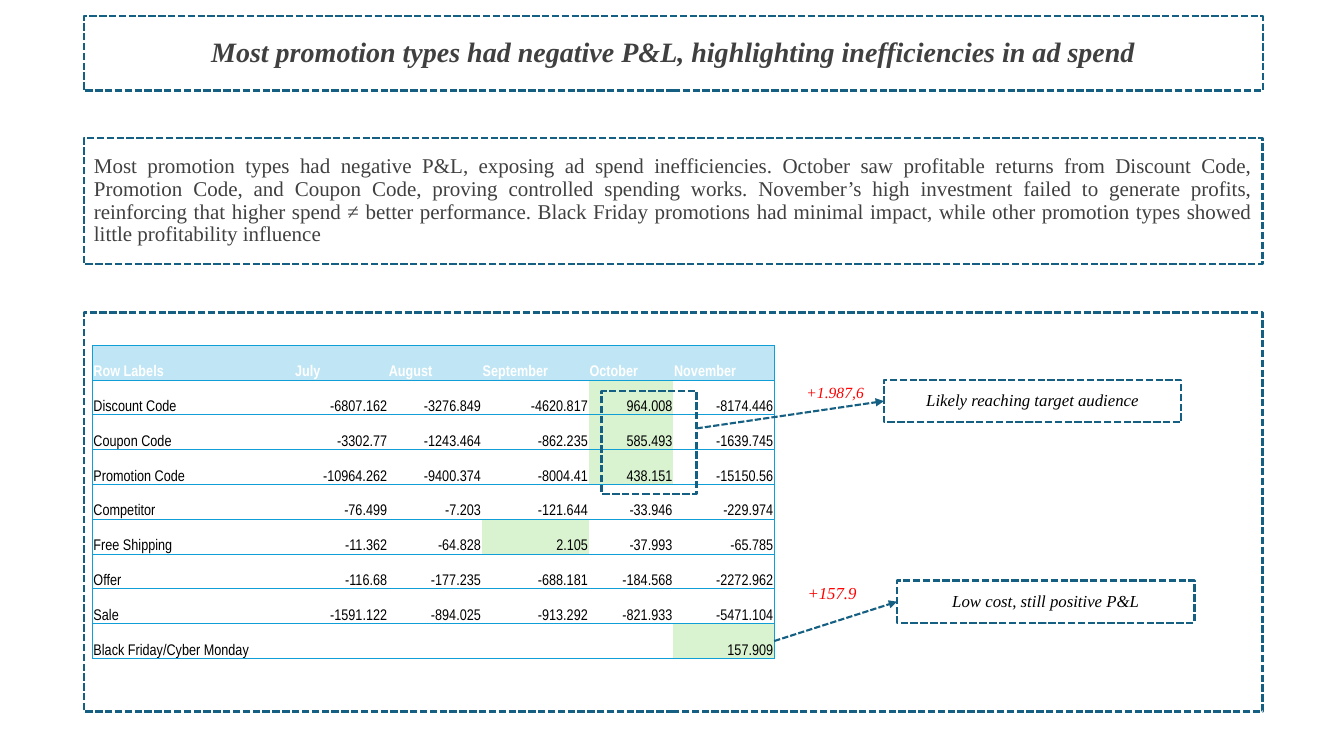
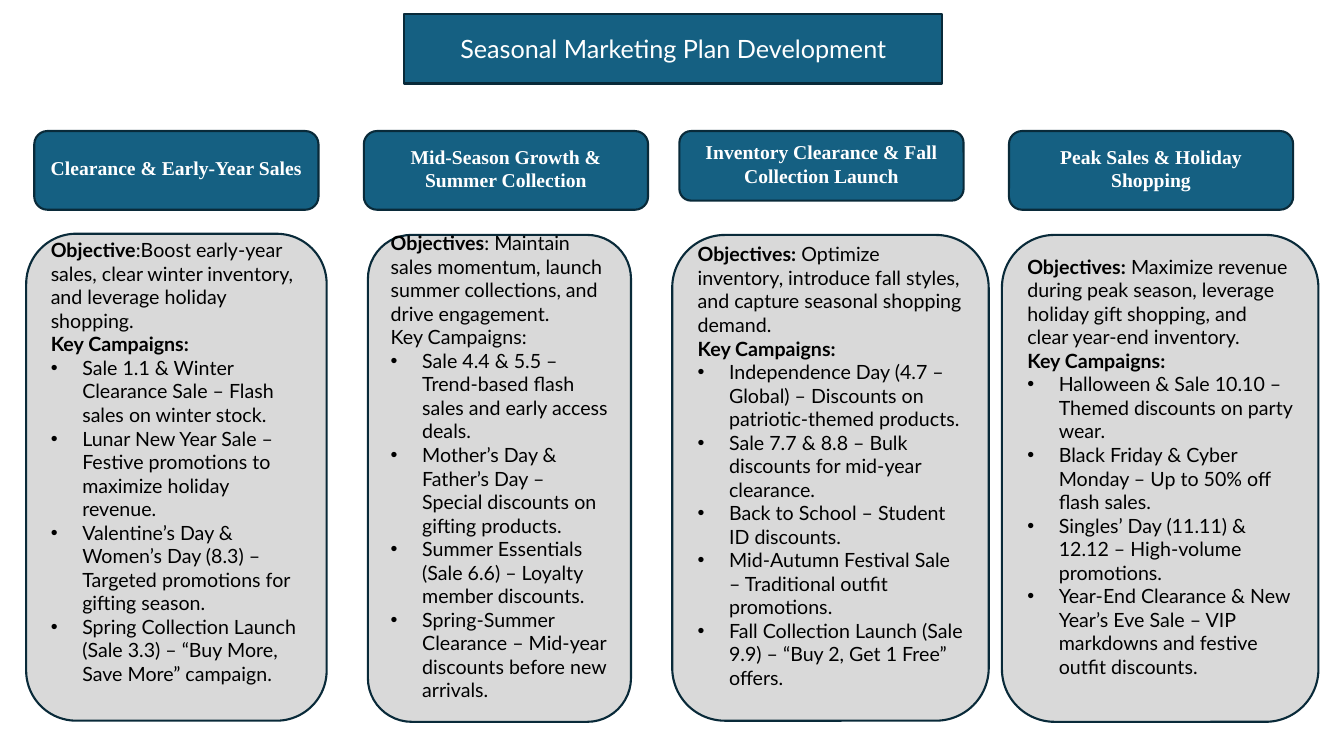
from pptx import Presentation
from pptx.dml.color import RGBColor
from pptx.enum.dml import MSO_LINE
from pptx.enum.shapes import MSO_CONNECTOR, MSO_SHAPE
from pptx.enum.text import MSO_ANCHOR, MSO_AUTO_SIZE, PP_ALIGN
from pptx.oxml.ns import qn
from pptx.util import Pt
from lxml import etree

RECT, ROUND = MSO_SHAPE.RECTANGLE, MSO_SHAPE.ROUNDED_RECTANGLE
LEFT, CENTER, RIGHT, JUSTIFY = PP_ALIGN.LEFT, PP_ALIGN.CENTER, PP_ALIGN.RIGHT, PP_ALIGN.JUSTIFY
MIDDLE, BOTTOM = MSO_ANCHOR.MIDDLE, MSO_ANCHOR.BOTTOM
NO_AUTOFIT, DASH, STRAIGHT = MSO_AUTO_SIZE.NONE, MSO_LINE.SQUARE_DOT, MSO_CONNECTOR.STRAIGHT
SERIF, SANS, NARROW = "Times New Roman", "Lato", "Arial Narrow"
COLORS = {
    "teal": "156082", "edge": "092A39", "card": "D9D9D9", "text": "404040",
    "black": "000000", "white": "FFFFFF", "red": "FF0000",
    "rule": "0F9ED5", "header": "C0E6F5", "profit": "D9F2D0",
}


def style_box(box, place, fill=None):
    box.left, box.top, box.width, box.height = [Pt(value) for value in place]
    if box.is_placeholder:
        geometry = etree.SubElement(box.element.spPr, qn("a:prstGeom"))
        geometry.set("prst", "roundRect" if fill else "rect")
        etree.SubElement(geometry, qn("a:avLst"))
    else:
        box.shadow.inherit = False
    if fill:
        box.fill.solid()
        box.fill.fore_color.rgb = RGBColor.from_string(COLORS[fill])
        box.line.width = Pt(1.5)
    else:
        box.fill.background()
        box.line.width = Pt(1.75)
        box.line.dash_style = DASH
    box.line.color.rgb = RGBColor.from_string(COLORS["edge" if fill else "teal"])
    frame = box.text_frame
    frame.word_wrap = True
    frame.auto_size = NO_AUTOFIT
    frame.vertical_anchor = MIDDLE
    return frame


def write(para, spans, font, size, color, align=LEFT, italic=False, spacing=None):
    para.alignment = align
    if spacing:
        para.line_spacing = spacing
    for text, bold in spans:
        span = para.add_run()
        span.text = text
        span.font.name = font
        span.font.size = Pt(size)
        span.font.bold = bold
        span.font.italic = italic
        span.font.color.rgb = RGBColor.from_string(COLORS[color])


deck = Presentation()
deck.slide_width, deck.slide_height = Pt(960), Pt(540)
title_only = deck.slide_layouts[5]

page = deck.slides.add_slide(title_only)
frame = style_box(page.shapes.title, (60, 11.5, 842, 53.3))
write(frame.paragraphs[0],
      [("Most promotion types had negative P&L, highlighting inefficiencies in ad spend", True)],
      SERIF, 20, "text", CENTER, True, 0.9)

summary = (
    "Most promotion types had negative P&L, exposing ad spend inefficiencies. October saw "
    "profitable returns from Discount Code, Promotion Code, and Coupon Code, proving controlled "
    "spending works. November’s high investment failed to generate profits, reinforcing that "
    "higher spend ≠ better performance. Black Friday promotions had minimal impact, while other "
    "promotion types showed little profitability influence"
)
box = page.shapes.add_shape(RECT, 0, 0, 0, 0)
frame = style_box(box, (60, 98.6, 842, 90))
write(frame.paragraphs[0], [(summary, False)], SERIF, 15, "text", JUSTIFY, spacing=0.9)

panel = page.shapes.add_shape(RECT, 0, 0, 0, 0)
style_box(panel, (60, 223.2, 842, 285))

rows = [
    ("Row Labels", "July", "August", "September", "October", "November"),
    ("Discount Code", "-6807.162", "-3276.849", "-4620.817", "964.008", "-8174.446"),
    ("Coupon Code", "-3302.77", "-1243.464", "-862.235", "585.493", "-1639.745"),
    ("Promotion Code", "-10964.262", "-9400.374", "-8004.41", "438.151", "-15150.56"),
    ("Competitor", "-76.499", "-7.203", "-121.644", "-33.946", "-229.974"),
    ("Free Shipping", "-11.362", "-64.828", "2.105", "-37.993", "-65.785"),
    ("Offer", "-116.68", "-177.235", "-688.181", "-184.568", "-2272.962"),
    ("Sale", "-1591.122", "-894.025", "-913.292", "-821.933", "-5471.104"),
    ("Black Friday/Cyber Monday", "", "", "", "", "157.909"),
]
widths = [144, 67, 67, 76.4, 60.4, 72]
row_height = 24.88
holder = page.shapes.add_table(len(rows), len(widths), Pt(66.2), Pt(246.5),
                               Pt(sum(widths)), Pt(row_height * len(rows)))
table = holder.table
table.first_row = False
table.horz_banding = False
style_id = holder.element.find(".//" + qn("a:tableStyleId"))
style_id.text = "{2D5ABB26-0587-4C30-8999-92F81FD0307C}"
for column, width in zip(table.columns, widths):
    column.width = Pt(width)
for row_index, row in enumerate(rows):
    table.rows[row_index].height = Pt(row_height)
    for column_index, text in enumerate(row):
        cell = table.cell(row_index, column_index)
        cell.margin_left = cell.margin_right = cell.margin_top = Pt(0.6)
        cell.margin_bottom = 0
        cell.vertical_anchor = BOTTOM
        sides = ["lnT", "lnB"]
        if column_index == len(widths) - 1:
            sides.insert(0, "lnR")
        if column_index == 0:
            sides.insert(0, "lnL")
        properties = cell._tc.get_or_add_tcPr()
        for side in sides:
            border = etree.SubElement(properties, qn("a:" + side), w=str(Pt(0.5)))
            paint = etree.SubElement(border, qn("a:solidFill"))
            etree.SubElement(paint, qn("a:srgbClr"), val=COLORS["rule"])
        is_header = row_index == 0
        is_value = not is_header and column_index > 0
        is_profit = is_value and text and not text.startswith("-")
        if is_header or is_profit:
            cell.fill.solid()
            cell.fill.fore_color.rgb = RGBColor.from_string(
                COLORS["header" if is_header else "profit"])
        else:
            cell.fill.background()
        if text:
            write(cell.text_frame.paragraphs[0], [(text, is_header)], NARROW, 11,
                  "white" if is_header else "black", RIGHT if is_value else LEFT)

highlight = page.shapes.add_shape(RECT, 0, 0, 0, 0)
style_box(highlight, (429.8, 279.4, 67.7, 73.4))

callouts = [
    ("Likely reaching target audience", (631.4, 271.4), (497.5, 306), "+1.987,6", (567.4, 267.8), 11.1),
    ("Low cost, still positive P&L", (640.8, 414.7), (553, 457.9), "+157.9", (565.2, 411.1), 12),
]
for text, corner, start, gain, gain_corner, gain_size in callouts:
    box = page.shapes.add_shape(RECT, 0, 0, 0, 0)
    frame = style_box(box, (*corner, 212.4, 30.2))
    write(frame.paragraphs[0], [(text, False)], SERIF, 12, "black", CENTER, True, 0.9)

    arrow = page.shapes.add_connector(STRAIGHT, Pt(start[0]), Pt(start[1]), 0, 0)
    arrow.end_connect(box, 1)
    arrow.line.width = Pt(1.5)
    arrow.line.dash_style = DASH
    arrow.line.color.rgb = RGBColor.from_string(COLORS["teal"])
    outline = arrow.element.spPr.find(qn("a:ln"))
    etree.SubElement(outline, qn("a:tailEnd"), type="triangle")
    etree.SubElement(arrow.element.spPr, qn("a:effectLst"))

    label = page.shapes.add_textbox(Pt(gain_corner[0]), Pt(gain_corner[1]), Pt(58.3), Pt(26.6))
    frame = label.text_frame
    frame.word_wrap = True
    frame.margin_left = frame.margin_right = 0
    frame.vertical_anchor = MIDDLE
    write(frame.paragraphs[0], [(gain, False)], SERIF, gain_size, "red", CENTER, True, 0.9)

page = deck.slides.add_slide(title_only)
frame = style_box(page.shapes.title, (288.7, 10, 384.5, 49.7), "teal")
write(frame.paragraphs[0], [("Seasonal Marketing Plan Development", False)],
      SANS, 18, "white", CENTER)

seasons = [
    {
        "heading": "Clearance & Early-Year Sales", "heading_left": 24.5, "heading_height": 56.2,
        "card": (18.7, 167, 214.6, 347.8), "bottom": 25.6,
        "objective": [("Objective", True),
                      (":Boost early-year sales, clear winter inventory, and leverage holiday shopping.", False)],
        "bold_label": True,
        "campaigns": [
            "Sale 1.1 & Winter Clearance Sale – Flash sales on winter stock.",
            "Lunar New Year Sale – Festive promotions to maximize holiday revenue.",
            "Valentine’s Day & Women’s Day (8.3) – Targeted promotions for gifting season.",
            "Spring Collection Launch (Sale 3.3) – “Buy More, Save More” campaign.",
        ],
    },
    {
        "heading": "Mid-Season Growth & Summer Collection", "heading_left": 259.9, "heading_height": 56.2,
        "card": (262.8, 167.8, 187.9, 347.8), "bottom": 20.6,
        "objective": [("Objectives", True),
                      (": Maintain sales momentum, launch summer collections, and drive engagement.", False)],
        "bold_label": False,
        "campaigns": [
            "Sale 4.4 & 5.5 – Trend-based flash sales and early access deals.",
            "Mother’s Day & Father’s Day – Special discounts on gifting products.",
            "Summer Essentials (Sale 6.6) – Loyalty member discounts.",
            "Spring-Summer Clearance – Mid-year discounts before new arrivals.",
        ],
    },
    {
        "heading": "Inventory Clearance & Fall Collection Launch", "heading_left": 485.3, "heading_height": 49.7,
        "card": (480.2, 167.8, 226.1, 347), "bottom": 20.6,
        "objective": [("Objectives:", True),
                      (" Optimize inventory, introduce fall styles, and capture seasonal shopping demand.", False)],
        "bold_label": True,
        "campaigns": [
            "Independence Day (4.7 – Global) – Discounts on patriotic-themed products.",
            "Sale 7.7 & 8.8 – Bulk discounts for mid-year clearance.",
            "Back to School – Student ID discounts.",
            "Mid-Autumn Festival Sale – Traditional outfit promotions.",
            "Fall Collection Launch (Sale 9.9) – “Buy 2, Get 1 Free” offers.",
        ],
    },
    {
        "heading": "Peak Sales & Holiday Shopping", "heading_left": 720.7, "heading_height": 56.2,
        "card": (715.7, 167.8, 226.1, 347.8), "bottom": 20.6,
        "objective": [("Objectives:", True),
                      (" Maximize revenue during peak season, leverage holiday gift shopping, "
                       "and clear year-end inventory.", False)],
        "bold_label": True,
        "campaigns": [
            "Halloween & Sale 10.10 – Themed discounts on party wear.",
            "Black Friday & Cyber Monday – Up to 50% off flash sales.",
            "Singles’ Day (11.11) & 12.12 – High-volume promotions.",
            "Year-End Clearance & New Year’s Eve Sale – VIP markdowns and festive outfit discounts.",
        ],
    },
]
for season in seasons:
    box = page.shapes.add_shape(ROUND, 0, 0, 0, 0)
    frame = style_box(box, (season["heading_left"], 93.6, 203, season["heading_height"]), "teal")
    frame.margin_bottom = Pt(6.8)
    write(frame.paragraphs[0], [(season["heading"], True)], SERIF, 14, "white", CENTER)

    box = page.shapes.add_shape(ROUND, 0, 0, 0, 0)
    frame = style_box(box, season["card"], "card")
    frame.margin_bottom = Pt(season["bottom"])
    write(frame.paragraphs[0], season["objective"], SANS, 14, "black")
    write(frame.add_paragraph(), [("Key Campaigns:", season["bold_label"])], SANS, 14, "black")
    for campaign in season["campaigns"]:
        para = frame.add_paragraph()
        write(para, [(campaign, False)], SANS, 14, "black")
        properties = para._p.get_or_add_pPr()
        properties.set("marL", str(Pt(22.5)))
        properties.set("indent", str(-Pt(22.5)))
        etree.SubElement(properties, qn("a:buFont"), typeface="Arial")
        etree.SubElement(properties, qn("a:buChar"), char="•")

deck.save("out.pptx")
